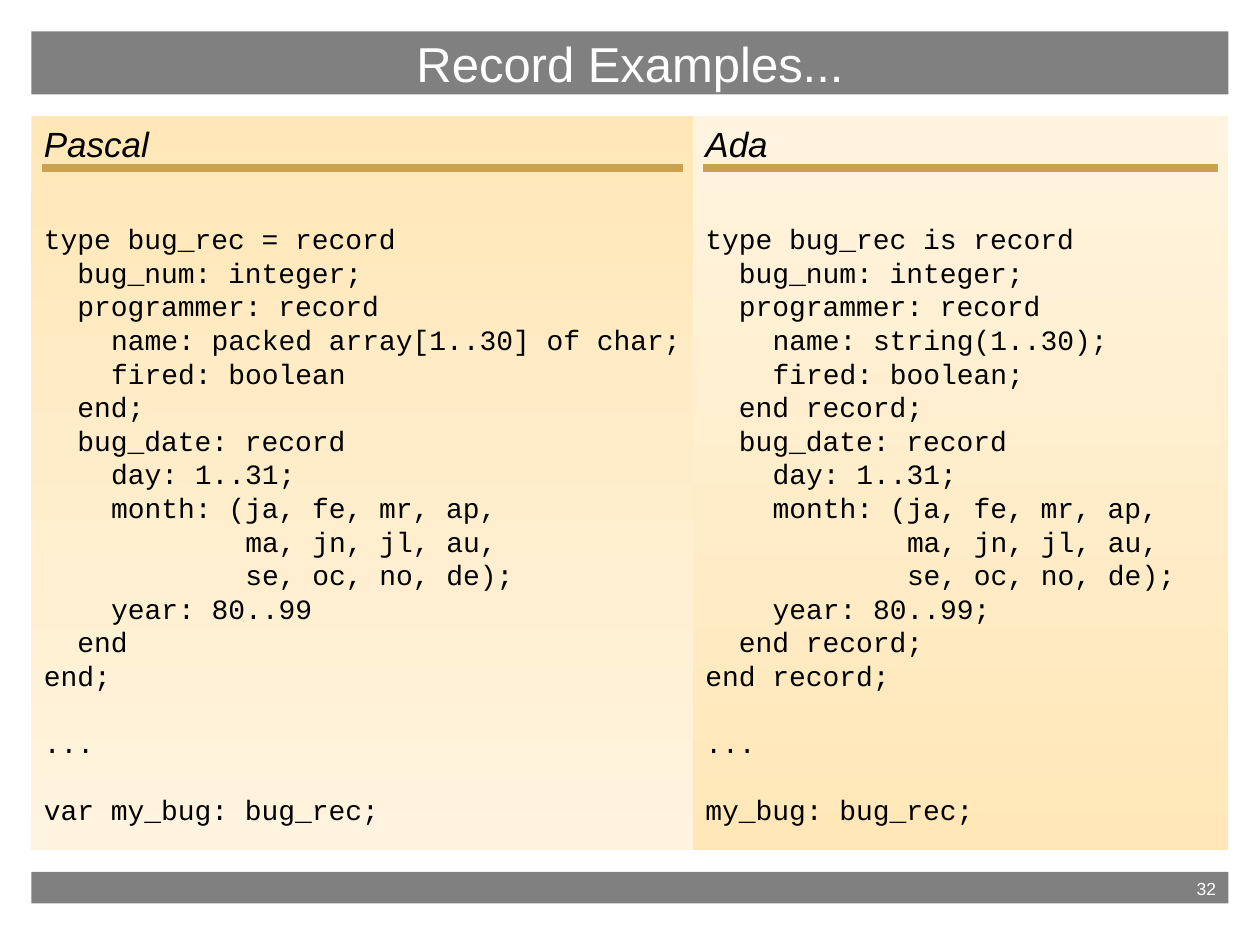
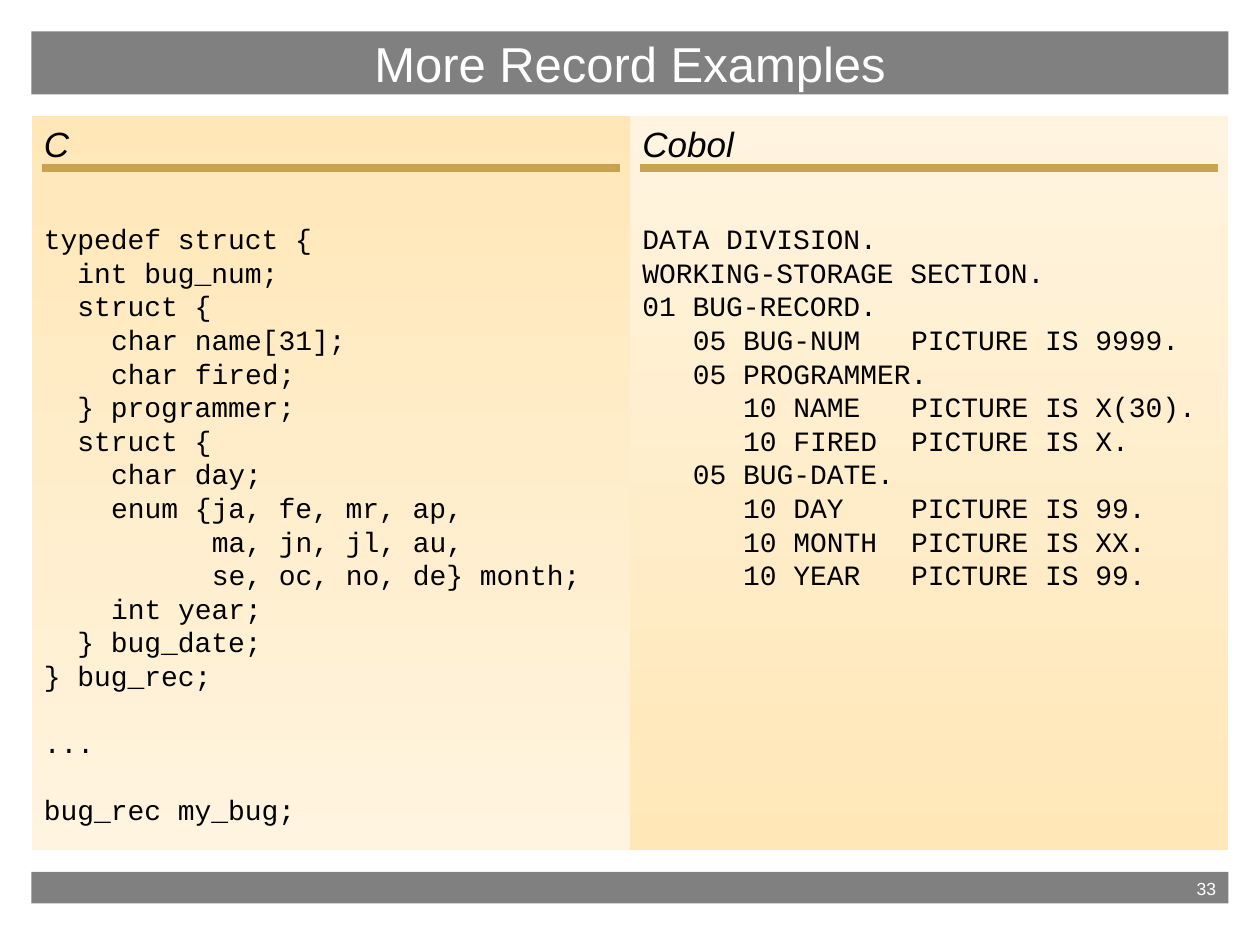
from dataclasses import dataclass

from lxml.etree import SubElement
from pptx import Presentation
from pptx.dml.color import RGBColor
from pptx.enum.shapes import MSO_CONNECTOR as Connector, MSO_SHAPE as Preset
from pptx.enum.text import MSO_ANCHOR as Anchor, PP_ALIGN as Align
from pptx.oxml.ns import qn
from pptx.util import Inches, Pt


@dataclass(frozen=True)
class Theme:
    """Colours, fonts and type sizes shared by the slides."""
    bar: str = "808080"
    light: str = "FFF4DF"
    deep: str = "FFE7B7"
    rule: str = "CBA24F"
    white: str = "FFFFFF"
    black: str = "000000"
    sans: str = "Arial"
    mono: str = "Courier New"
    title_size: float = 28
    heading_size: float = 20
    code_size: float = 16
    number_size: float = 10
    rule_width: float = 4.5
    heading_gap: float = 5
    code_gap: float = 33
    blank_line: float = 19.2


@dataclass(frozen=True)
class Box:
    """A rectangle in inches."""
    left: float
    top: float
    width: float
    height: float


THEME = Theme()
TITLE_BOX = Box(0.25, 0.25, 9.5, 0.5)
BODY_BOX = Box(0.25, 0.92, 9.5, 5.83)
FOOTER_BOX = Box(0.25, 6.92, 9.5, 0.25)
RULE_INSET = 0.08
RULE_DROP = 0.41
CHAR_WIDTH = 0.6 * THEME.code_size / 72

PASCAL = """
type bug_rec = record
  bug_num: integer;
  programmer: record
    name: packed array[1..30] of char;
    fired: boolean
  end;
  bug_date: record
    day: 1..31;
    month: (ja, fe, mr, ap,
            ma, jn, jl, au,
            se, oc, no, de);
    year: 80..99
  end
end;

...

var my_bug: bug_rec;
"""

ADA = """
type bug_rec is record
  bug_num: integer;
  programmer: record
    name: string(1..30);
    fired: boolean;
  end record;
  bug_date: record
    day: 1..31;
    month: (ja, fe, mr, ap,
            ma, jn, jl, au,
            se, oc, no, de);
    year: 80..99;
  end record;
end record;

...

my_bug: bug_rec;
"""

C_CODE = """
typedef struct {
  int bug_num;
  struct {
    char name[31];
    char fired;
  } programmer;
  struct {
    char day;
    enum {ja, fe, mr, ap,
          ma, jn, jl, au,
          se, oc, no, de} month;
    int year;
  } bug_date;
} bug_rec;

...

bug_rec my_bug;
"""

COBOL = """
DATA DIVISION.
WORKING-STORAGE SECTION.
01 BUG-RECORD.
   05 BUG-NUM   PICTURE IS 9999.
   05 PROGRAMMER.
      10 NAME   PICTURE IS X(30).
      10 FIRED  PICTURE IS X.
   05 BUG-DATE.
      10 DAY    PICTURE IS 99.
      10 MONTH  PICTURE IS XX.
      10 YEAR   PICTURE IS 99.
"""


def apply_format(target, values):
    """Set each named attribute of the target."""
    for name, value in values.items():
        setattr(target, name, value)


def add_box(page, box):
    """Add a plain rectangle without line or shadow."""
    shape = page.shapes.add_shape(
        Preset.RECTANGLE, Inches(box.left), Inches(box.top), Inches(box.width), Inches(box.height))
    shape.shadow.inherit = False
    shape.line.fill.background()
    shape.text_frame.word_wrap = True
    return shape


def write(para, text, font, size, colour, italic=False, **layout):
    """Write one formatted span into a paragraph."""
    span = para.add_run()
    span.text = text
    apply_format(span.font, {"name": font, "size": Pt(size), "italic": italic})
    span.font.color.rgb = RGBColor.from_string(colour)
    apply_format(para, layout)


def add_bar(page, box, text, size, align, anchor):
    """Add a grey bar with white text."""
    bar = add_box(page, box)
    bar.fill.solid()
    bar.fill.fore_color.rgb = RGBColor.from_string(THEME.bar)
    bar.text_frame.vertical_anchor = anchor
    write(bar.text_frame.paragraphs[0], text, THEME.sans, size, THEME.white, alignment=align)


def add_tab_stops(para, columns):
    """Set left tab stops at character columns."""
    stops = SubElement(para._p.get_or_add_pPr(), qn("a:tabLst"))
    for column in columns:
        SubElement(stops, qn("a:tab"), pos=str(Inches(column * CHAR_WIDTH)), algn="l")


def write_code(frame, code):
    """Write code lines, turning wide gaps into tab stops and blank lines into spacing."""
    gap = THEME.code_gap
    for line in code.strip().splitlines():
        if not line:
            gap += THEME.blank_line
            continue
        cells = [cell.strip() for cell in line.split("  ") if cell.strip()]
        columns = [line.index(cell) for cell in cells]
        indent = "\t" if columns[0] else ""
        para = frame.add_paragraph()
        write(para, indent + "\t".join(cells), THEME.mono, THEME.code_size, THEME.black,
              alignment=Align.LEFT, space_before=Pt(gap))
        stops = [column for column in columns if column]
        if stops:
            add_tab_stops(para, stops)
        gap = 0


def add_panel(page, box, heading, code, colours):
    """Add a gradient panel with a language name and its code."""
    panel = add_box(page, box)
    panel.fill.gradient()
    panel.fill.gradient_angle = 270
    for stop, colour in zip(panel.fill.gradient_stops, colours):
        stop.color.rgb = RGBColor.from_string(colour)
    frame = panel.text_frame
    frame.vertical_anchor = Anchor.TOP
    write(frame.paragraphs[0], heading, THEME.sans, THEME.heading_size, THEME.black, italic=True,
          alignment=Align.LEFT, space_before=Pt(THEME.heading_gap))
    write_code(frame, code)


def add_rule(page, left, right, top):
    """Add the heading rule between two panel edges."""
    height = Inches(top + RULE_DROP)
    rule = page.shapes.add_connector(
        Connector.STRAIGHT, Inches(left + RULE_INSET), height, Inches(right - RULE_INSET), height)
    rule.line.width = Pt(THEME.rule_width)
    rule.line.color.rgb = RGBColor.from_string(THEME.rule)
    SubElement(rule._element.spPr, qn("a:effectLst"))


def add_comparison(page, box, split, overlap, samples):
    """Fill the box with two code panels that meet at the split."""
    right = box.left + box.width
    edges = [(box.left, split), (split, right)]
    shades = [(THEME.deep, THEME.light), (THEME.light, THEME.deep)]
    extras = [overlap, 0]
    for (start, end), extra, colours, (heading, code) in zip(edges, extras, shades, samples):
        panel_box = Box(start, box.top, end - start + extra, box.height)
        add_panel(page, panel_box, heading, code, colours)
    for start, end in edges:
        add_rule(page, start, end, box.top)


def add_page(deck, number, title, split, overlap, samples):
    """Add one slide with title, two panels and footer."""
    page = deck.slides.add_slide(deck.slide_layouts[6])
    add_bar(page, FOOTER_BOX, str(number), THEME.number_size, Align.RIGHT, Anchor.TOP)
    add_bar(page, TITLE_BOX, title, THEME.title_size, Align.CENTER, Anchor.MIDDLE)
    add_comparison(page, BODY_BOX, split, overlap, samples)


def main():
    """Build and save the deck."""
    deck = Presentation()
    apply_format(deck, {"slide_width": Inches(10), "slide_height": Inches(7.5)})
    add_page(deck, 32, "Record Examples...", 5.5, 0.08, [("Pascal", PASCAL), ("Ada", ADA)])
    add_page(deck, 33, "More Record Examples", 5, 0, [("C", C_CODE), ("Cobol", COBOL)])
    deck.save("out.pptx")


if __name__ == "__main__":
    main()
